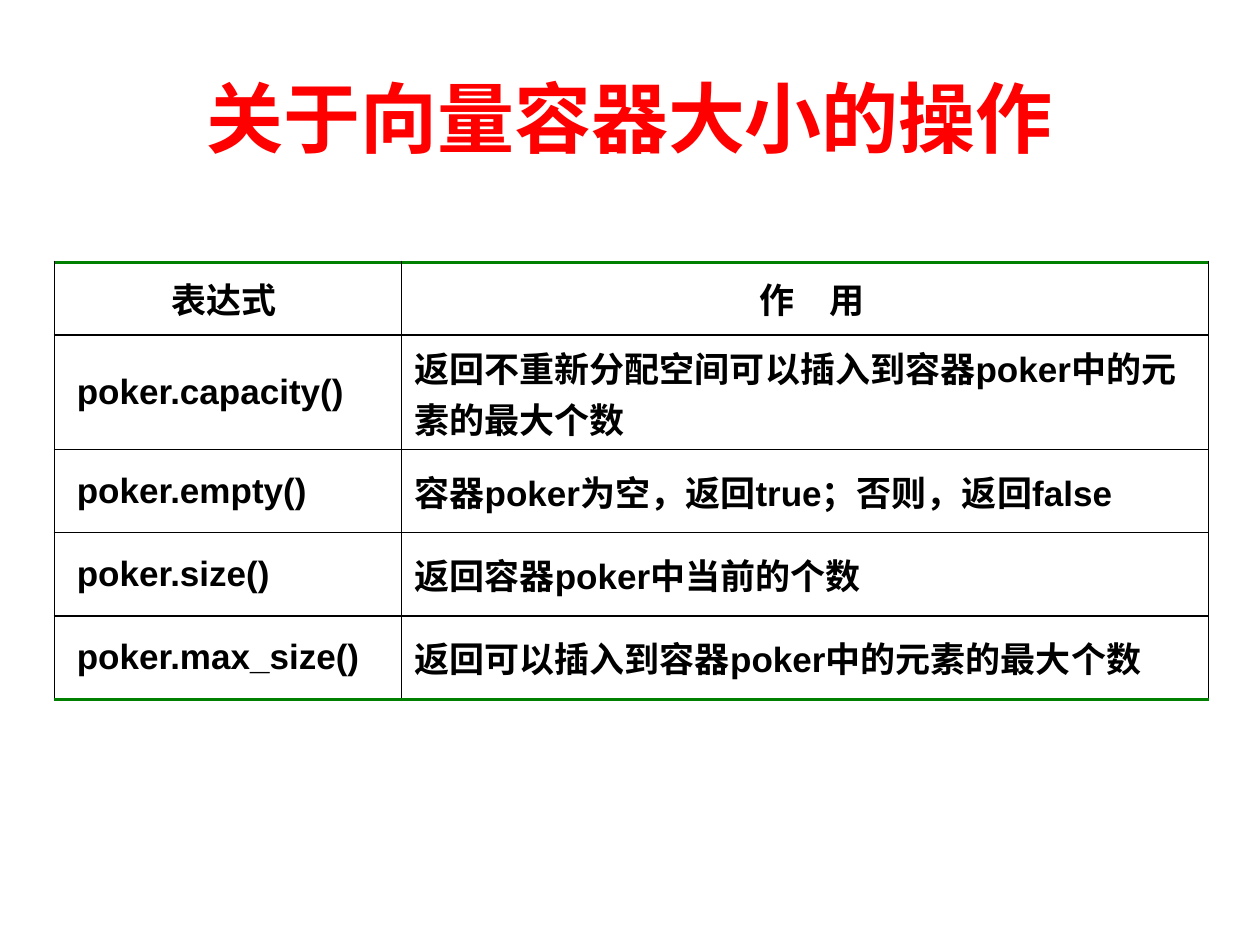
from lxml.etree import SubElement
from pptx import Presentation
from pptx.dml.color import RGBColor
from pptx.enum.text import MSO_ANCHOR, PP_ALIGN
from pptx.oxml.ns import qn
from pptx.util import Inches, Pt

ROWS = [
    ("表达式", "作　用"),
    ("poker.capacity()", "返回不重新分配空间可以插入到容器poker中的元素的最大个数"),
    ("poker.empty()", "容器poker为空，返回true；否则，返回false"),
    ("poker.size()", "返回容器poker中当前的个数"),
    ("poker.max_size()", "返回可以插入到容器poker中的元素的最大个数"),
]
COL_WIDTHS = (2.76, 6.4)
ROW_HEIGHTS = (0.58, 0.91, 0.66, 0.66, 0.66)
HEADER_MARGINS = ((0.1, 0.16), (0.21, 0.1))
BODY_MARGINS = ((0.18, 0.1), (0.1, 0.1))
TITLE_FONT = {"name": "Times New Roman", "size": Pt(44), "bold": True}
CELL_FONT = {"name": "Arial", "size": Pt(20), "bold": True}
THIN = ("000000", 0.75)
HEADER_RULE = ("000000", 1)
OUTER_RULE = ("008000", 2)


def rgb(value):
    """Turn a hex string into a colour."""
    return RGBColor.from_string(value)


def write(tf, text, font, color, align):
    """Fill a text frame with one formatted run."""
    p = tf.paragraphs[0]
    p.alignment = align
    r = p.add_run()
    r.text = text
    for key, value in font.items():
        setattr(r.font, key, value)
    r.font.color.rgb = rgb(color)


def set_borders(cell, top, bottom):
    """Draw the four borders of a cell, with thin sides."""
    tc_pr = cell._tc.get_or_add_tcPr()
    sides = {"L": THIN, "R": THIN, "T": top, "B": bottom}
    for side, (color, width) in sides.items():
        ln = SubElement(tc_pr, qn(f"a:ln{side}"), w=str(Pt(width)))
        fill = SubElement(ln, qn("a:solidFill"))
        SubElement(fill, qn("a:srgbClr"), val=color)


def add_title(s, x, y, w, h):
    """Place the slide title in its box."""
    tf = s.shapes.add_textbox(Inches(x), Inches(y), Inches(w), Inches(h)).text_frame
    tf.word_wrap = True
    tf.vertical_anchor = MSO_ANCHOR.MIDDLE
    write(tf, "关于向量容器大小的操作", TITLE_FONT, "FF0000", PP_ALIGN.CENTER)


def add_operations_table(s, x, y, w, h):
    """Place the table of container operations in its box."""
    frame = s.shapes.add_table(len(ROWS), len(COL_WIDTHS),
                               Inches(x), Inches(y), Inches(w), Inches(h))
    table = frame.table
    for col, width in zip(table.columns, COL_WIDTHS):
        col.width = Inches(width)
    for row, height in zip(table.rows, ROW_HEIGHTS):
        row.height = Inches(height)
    rules = [OUTER_RULE, HEADER_RULE] + [THIN] * (len(ROWS) - 2) + [OUTER_RULE]
    for i, texts in enumerate(ROWS):
        margins = BODY_MARGINS if i else HEADER_MARGINS
        align = PP_ALIGN.LEFT if i else PP_ALIGN.CENTER
        for j, text in enumerate(texts):
            cell = table.cell(i, j)
            left, right = margins[j]
            formats = {"vertical_anchor": MSO_ANCHOR.MIDDLE,
                       "margin_left": Inches(left), "margin_right": Inches(right)}
            for key, value in formats.items():
                setattr(cell, key, value)
            set_borders(cell, rules[i], rules[i + 1])
            cell.fill.solid()
            cell.fill.fore_color.rgb = rgb("FFFFFF")
            write(cell.text_frame, text, CELL_FONT, "000000", align)


def main():
    """Build and save the slide."""
    prs = Presentation()
    prs.slide_width, prs.slide_height = Inches(10), Inches(7.5)
    s = prs.slides.add_slide(prs.slide_layouts[6])
    add_title(s, 0.5, 0.3, 9, 1.25)
    add_operations_table(s, 0.43, 2.08, sum(COL_WIDTHS), sum(ROW_HEIGHTS))
    prs.save("out.pptx")


if __name__ == "__main__":
    main()
